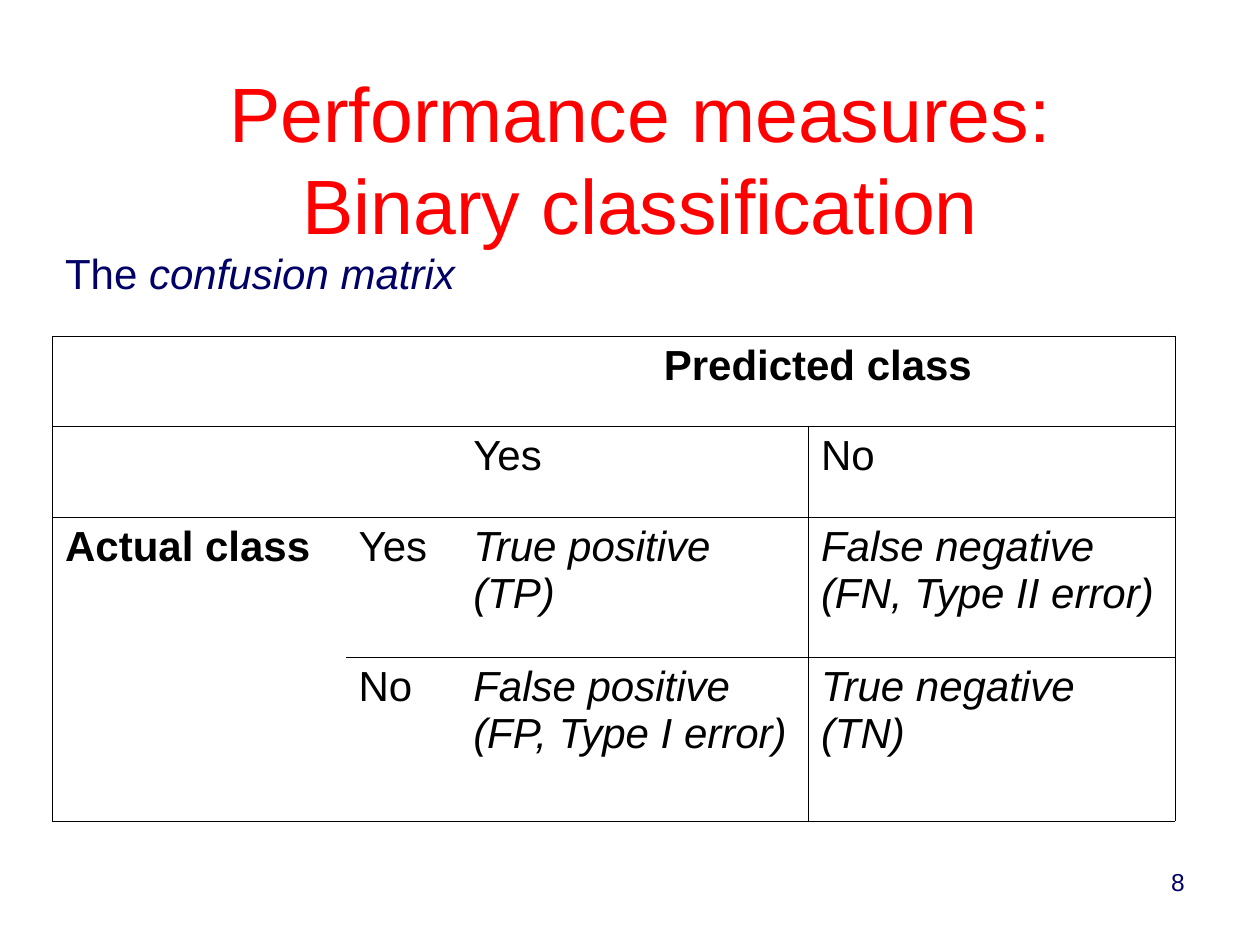
from lxml.etree import SubElement
from pptx import Presentation
from pptx.dml.color import RGBColor as Rgb
from pptx.enum.text import MSO_ANCHOR as Anchor, MSO_AUTO_SIZE as Fit, PP_ALIGN as Align
from pptx.oxml.ns import qn
from pptx.util import Inches, Pt

COLORS = {"heading": "FF0000", "navy": "000066", "ink": "000000"}
NO_GRID = "{2D5ABB26-0587-4C30-8999-92F81FD0307C}"
COLUMNS, ROWS = 120, 90


class SlideBuilder:
    """Hold the style and current slide, measured on a 120 by 90 grid."""

    def __init__(self, deck):
        self.width, self.height = deck.slide_width, deck.slide_height
        self.slide = deck.slides.add_slide(deck.slide_layouts[1])

    def box(self, left, top, wide, high):
        across, down = self.width / COLUMNS, self.height / ROWS
        return [round(n) for n in (left * across, top * down, wide * across, high * down)]

    def put_text(self, frame, runs, size, color, align=Align.LEFT, anchor=Anchor.TOP):
        for name, value in {"word_wrap": True, "vertical_anchor": anchor}.items():
            setattr(frame, name, value)
        paragraph = frame.paragraphs[0]
        paragraph.alignment, paragraph.space_before = align, Pt(0)
        for wording, style in runs:
            run = paragraph.add_run()
            run.text = wording
            look = {"name": "Arial", "size": Pt(size), "bold": False, "italic": False, **style}
            for name, value in look.items():
                setattr(run.font, name, value)
            run.font.color.rgb = Rgb.from_string(COLORS[color])

    def place(self, holder, area):
        for name, value in zip(("left", "top", "width", "height"), self.box(*area)):
            setattr(holder, name, value)
        holder.text_frame.auto_size = Fit.NONE
        return holder.text_frame

    def title(self, lines, area):
        frame = self.place(self.slide.shapes.title, area)
        first, second = lines
        self.put_text(frame, [(first, {})], 44, "heading", Align.CENTER, Anchor.MIDDLE)
        frame.paragraphs[0].add_line_break()
        self.put_text(frame, [(second, {})], 44, "heading", Align.CENTER, Anchor.MIDDLE)

    def body(self, runs, area):
        frame = self.place(self.slide.placeholders[1], area)
        details = frame.paragraphs[0]._p.get_or_add_pPr()
        details.set("marL", "0")
        details.set("indent", "0")
        SubElement(details, qn("a:buNone"))
        self.put_text(frame, runs, 24, "navy")

    def page_number(self, number, area):
        frame = self.slide.shapes.add_textbox(*self.box(*area)).text_frame
        self.put_text(frame, [(number, {})], 14, "navy", Align.RIGHT)

    def border(self, cell, edges):
        details = cell._tc.get_or_add_tcPr()
        for edge in "LRTB":
            line = SubElement(details, qn(f"a:ln{edge}"), w=str(Pt(0.45)))
            if edge in edges:
                fill = SubElement(line, qn("a:solidFill"))
                SubElement(fill, qn("a:srgbClr"), val=COLORS["ink"])
            else:
                SubElement(line, qn("a:noFill"))

    def matrix(self, entries, merges, widths, heights, area):
        shape = self.slide.shapes.add_table(len(heights), len(widths), *self.box(*area))
        table = shape.table
        table._tbl.tblPr.find(qn("a:tableStyleId")).text = NO_GRID
        table.first_row = table.horz_banding = False
        for column, wide in zip(table.columns, widths):
            column.width = Inches(wide)
        for row, high in zip(table.rows, heights):
            row.height = Inches(high)
        for first, last in merges:
            table.cell(*first).merge(table.cell(*last))
        final = len(widths) - 1
        for row in range(len(heights)):
            for column in range(len(widths)):
                cell = table.cell(row, column)
                left = column == 0 or (column == final and row > 0)
                right = column == final or (row, column) in ((0, 2), (1, 2), (2, 2), (3, 2))
                self.border(cell, "TB" + "L" * left + "R" * right)
                cell.fill.background()
                if (row, column) in entries:
                    lines, style = entries[row, column]
                    align = Align.CENTER if row == 0 else Align.LEFT
                    for number, wording in enumerate(lines.split("\n")):
                        if number:
                            cell.text_frame.paragraphs[0].add_line_break()
                        self.put_text(cell.text_frame, [(wording, style)], 24, "ink", align)


def main():
    deck = Presentation()
    deck.slide_width, deck.slide_height = Inches(10), Inches(7.5)
    page = SlideBuilder(deck)
    bold, italic = {"bold": True}, {"italic": True}
    page.title(("Performance measures:", "Binary classification"), (5, 8, 112, 14))
    page.body([("The ", {}), ("confusion matrix", italic)], (5, 23, 53.2, 6.8))
    entries = {
        (0, 2): ("Predicted class", bold),
        (1, 2): ("Yes", {}),
        (1, 3): ("No", {}),
        (2, 0): ("Actual class", bold),
        (2, 1): ("Yes", {}),
        (2, 2): ("True positive (TP)", italic),
        (2, 3): ("False negative\n(FN, Type II error)", italic),
        (3, 1): ("No", {}),
        (3, 2): ("False positive (FP, Type I error)", italic),
        (3, 3): ("True negative (TN)", italic),
    }
    merges = [((0, 0), (0, 1)), ((0, 2), (0, 3)), ((1, 0), (1, 1)), ((2, 0), (3, 0))]
    page.matrix(entries, merges, (2.33, 0.91, 2.76, 2.91), (0.72, 0.72, 1.11, 1.3), (5, 32, 107, 46))
    page.page_number("8", (86, 82, 28, 6.2))
    deck.save("out.pptx")


if __name__ == "__main__":
    main()
